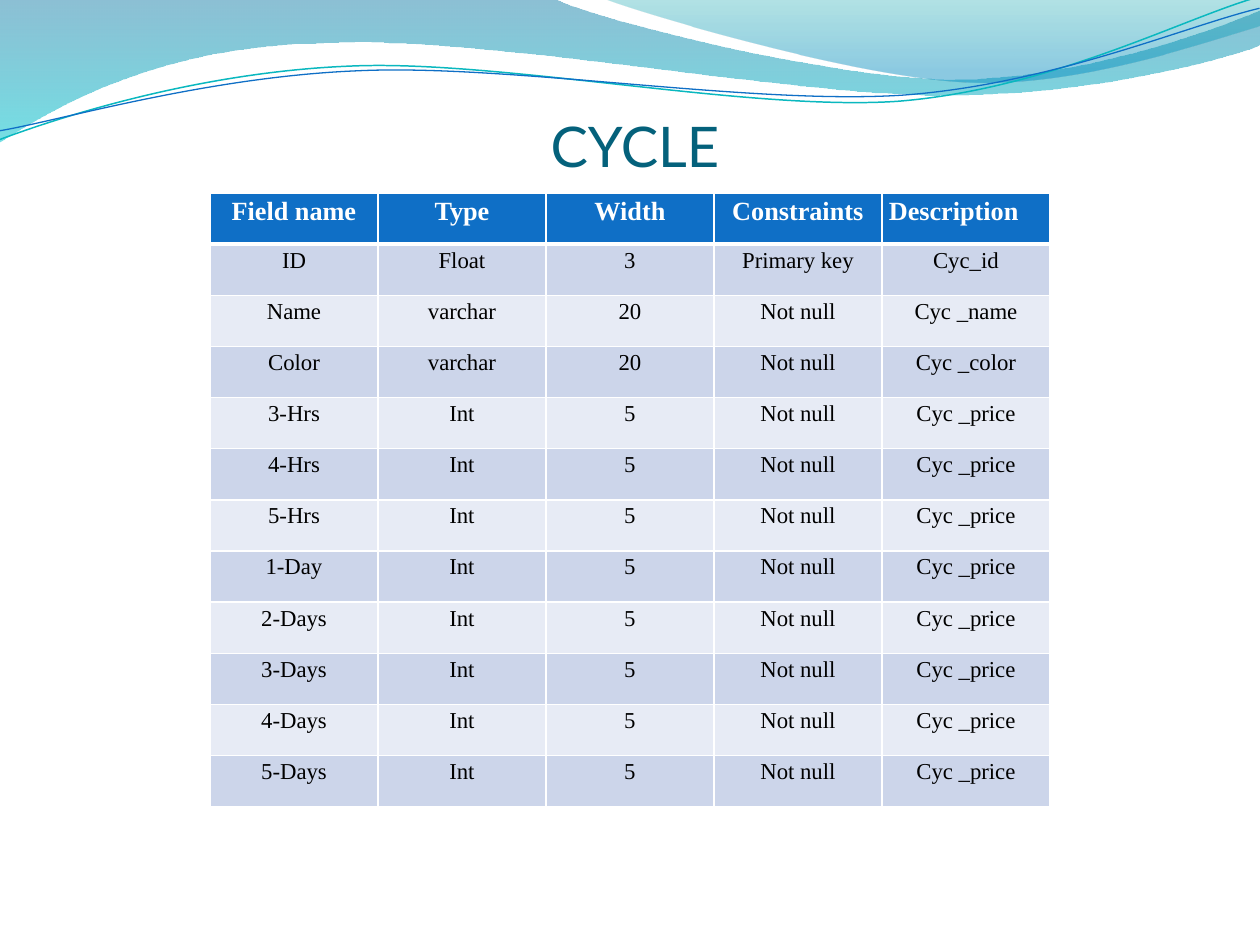
from dataclasses import dataclass

from lxml.etree import SubElement
from pptx import Presentation
from pptx.dml.color import RGBColor
from pptx.enum.text import MSO_ANCHOR, PP_ALIGN
from pptx.oxml import parse_xml
from pptx.oxml.ns import nsdecls, qn
from pptx.util import Pt

EMU_PER_PX = 914400 / 126


@dataclass(frozen=True)
class Theme:
    title_font: str = "Lato"
    table_font: str = "Times New Roman"
    title_size: int = 32
    header_size: int = 15
    body_size: int = 13
    title: str = "04617B"
    header: str = "0F6FC6"
    bands: tuple = ("CCD5EA", "E7EBF5")
    light: str = "FFFFFF"
    dark: str = "000000"
    teal_line: str = "0AB8BF"
    # Gradient stops: position, colour, opacity (percent)
    back_wave: tuple = ((0, "0074A1", 45), (100, "00C6CF", 55))
    front_wave: tuple = ((0, "00A1A9", 30), (80, "008BBF", 45))


def px(length):
    return round(length * EMU_PER_PX)


def color(value):
    return RGBColor.from_string(value)


class SlideBuilder:
    def __init__(self, slide, theme):
        self.slide = slide
        self.theme = theme

    def outline(self, start, segments, close):
        """Draw line ends (2 numbers) and cubic curves (6 numbers)."""
        builder = self.slide.shapes.build_freeform(px(start[0]), px(start[1]), scale=1.0)
        for segment in segments:
            points = [(px(x), px(y)) for x, y in zip(segment[::2], segment[1::2])]
            builder.add_line_segments(points, close=False)
        if close:
            builder.add_line_segments([], close=True)
        shape = builder.convert_to_shape()
        shape.shadow.inherit = False

        # Join each run of three points into one cubic curve
        steps = iter(list(shape._element.iter(qn("a:lnTo"))))
        for segment in segments:
            step = next(steps)
            if len(segment) == 6:
                step.addprevious(parse_xml(f'<a:cubicBezTo {nsdecls("a")}/>'))
                cubic = step.getprevious()
                for part in (step, next(steps), next(steps)):
                    cubic.append(part[0])
                    part.getparent().remove(part)
        return shape

    def wave(self, stops, start, segments):
        shape = self.outline(start, segments, close=True)
        shape.line.fill.background()
        stop_xml = "".join(
            f'<a:gs pos="{position * 1000}"><a:srgbClr val="{value}">'
            f'<a:alpha val="{opacity * 1000}"/></a:srgbClr></a:gs>'
            for position, value, opacity in stops)
        gradient = parse_xml(
            f'<a:gradFill {nsdecls("a")} rotWithShape="1"><a:gsLst>{stop_xml}</a:gsLst>'
            '<a:lin ang="5400000" scaled="0"/></a:gradFill>')
        shape._element.spPr.find(qn("a:custGeom")).addnext(gradient)

    def curve(self, line_color, width, start, segments):
        shape = self.outline(start, segments, close=False)
        shape.rotation = 357.3
        shape.fill.background()
        shape.line.color.rgb = color(line_color)
        shape.line.width = Pt(width)

    def title(self, text, left, top, width, height):
        box = self.slide.shapes.title
        box.left, box.top, box.width, box.height = map(px, (left, top, width, height))
        self.slide.shapes._spTree.append(box._element)
        frame = box.text_frame
        frame.text = text
        frame.word_wrap = True
        frame.vertical_anchor = MSO_ANCHOR.BOTTOM
        frame.margin_left = frame.margin_right = frame.margin_bottom = 0
        frame.margin_top = px(6)
        self.style(frame.paragraphs[0], self.theme.title_font, self.theme.title_size,
                   self.theme.title, False)

    def style(self, para, font_name, size, text_color, bold, align=PP_ALIGN.CENTER):
        para.alignment = align
        para.font.name = font_name
        para.font.size = Pt(size)
        para.font.bold = bold
        para.font.color.rgb = color(text_color)

    def borders(self, cell, widths):
        properties = cell._tc.get_or_add_tcPr()
        for side, width in widths.items():
            line = SubElement(properties, qn(f"a:ln{side}"), w=str(Pt(width)))
            fill = SubElement(line, qn("a:solidFill"))
            SubElement(fill, qn("a:srgbClr"), val=self.theme.light)

    def table(self, rows, left, top, width, height):
        theme = self.theme
        column_count = len(rows[0])
        frame = self.slide.shapes.add_table(
            len(rows), column_count, px(left), px(top), px(width), px(height))
        grid = frame.table
        grid.horz_banding = False
        for column in grid.columns:
            column.width = px(width / column_count)
        for row_index, values in enumerate(rows):
            grid.rows[row_index].height = px(height / len(rows))
            header = row_index == 0
            fill = theme.header if header else theme.bands[(row_index - 1) % 2]
            size = theme.header_size if header else theme.body_size
            text_color = theme.light if header else theme.dark
            widths = {"L": 1, "R": 1, "T": 3 if row_index == 1 else 1, "B": 3 if header else 1}
            for column_index, value in enumerate(values):
                cell = grid.cell(row_index, column_index)
                self.borders(cell, widths)
                cell.fill.solid()
                cell.fill.fore_color.rgb = color(fill)
                cell.margin_left = cell.margin_right = px(7)
                cell.margin_top = cell.margin_bottom = 0
                cell.text = value
                para = cell.text_frame.paragraphs[0]
                para.line_spacing = 1.15
                left_aligned = header and column_index == column_count - 1
                self.style(para, theme.table_font, size, text_color, header,
                           PP_ALIGN.LEFT if left_aligned else PP_ALIGN.CENTER)


def main():
    theme = Theme()
    deck = Presentation()
    deck.slide_width, deck.slide_height = px(1260), px(945)
    page = SlideBuilder(deck.slides.add_slide(deck.slide_layouts[5]), theme)

    # Waves along the top edge
    page.wave(theme.back_wave, (0, 0), [
        (554, -1), (600, 21, 837, 79, 955, 79), (1075, 79, 1207, 33, 1260, 11),
        (1261, 45), (1239, 55, 1096, 96, 940, 95), (784, 95, 481, 35, 324, 43),
        (163, 45, 58, 105, -1, 142), (0, 0)])
    page.wave(theme.front_wave, (604, -1), [
        (641, 14, 859, 78, 969, 82), (1079, 87, 1211, 40, 1260, 26), (1260, 0),
        (604, -1)])

    # Thin curves, tilted together
    page.curve(theme.teal_line, 0.85, (-3, 110), [
        (59, 90, 200, 52, 350, 53), (499, 53, 745, 117, 896, 114),
        (1049, 109, 1184, 45, 1260, 27)])
    page.curve(theme.header, 0.75, (-2, 101), [
        (57, 94, 207, 57, 358, 58), (509, 58, 750, 111, 902, 108),
        (1052, 104, 1188, 52, 1262, 38)])

    # Title
    page.title("CYCLE", 63, 97, 1144, 82)

    # Field table: the rental periods share one definition
    periods = ["3-Hrs", "4-Hrs", "5-Hrs", "1-Day", "2-Days", "3-Days", "4-Days", "5-Days"]
    rows = [
        ("Field name", "Type", "Width", "Constraints", "Description"),
        ("ID", "Float", "3", "Primary key", "Cyc_id"),
        ("Name", "varchar", "20", "Not null", "Cyc _name"),
        ("Color", "varchar", "20", "Not null", "Cyc _color"),
        *((period, "Int", "5", "Not null", "Cyc _price") for period in periods),
    ]
    page.table(rows, left=210, top=193, width=840, height=614)

    deck.save("out.pptx")


if __name__ == "__main__":
    main()
